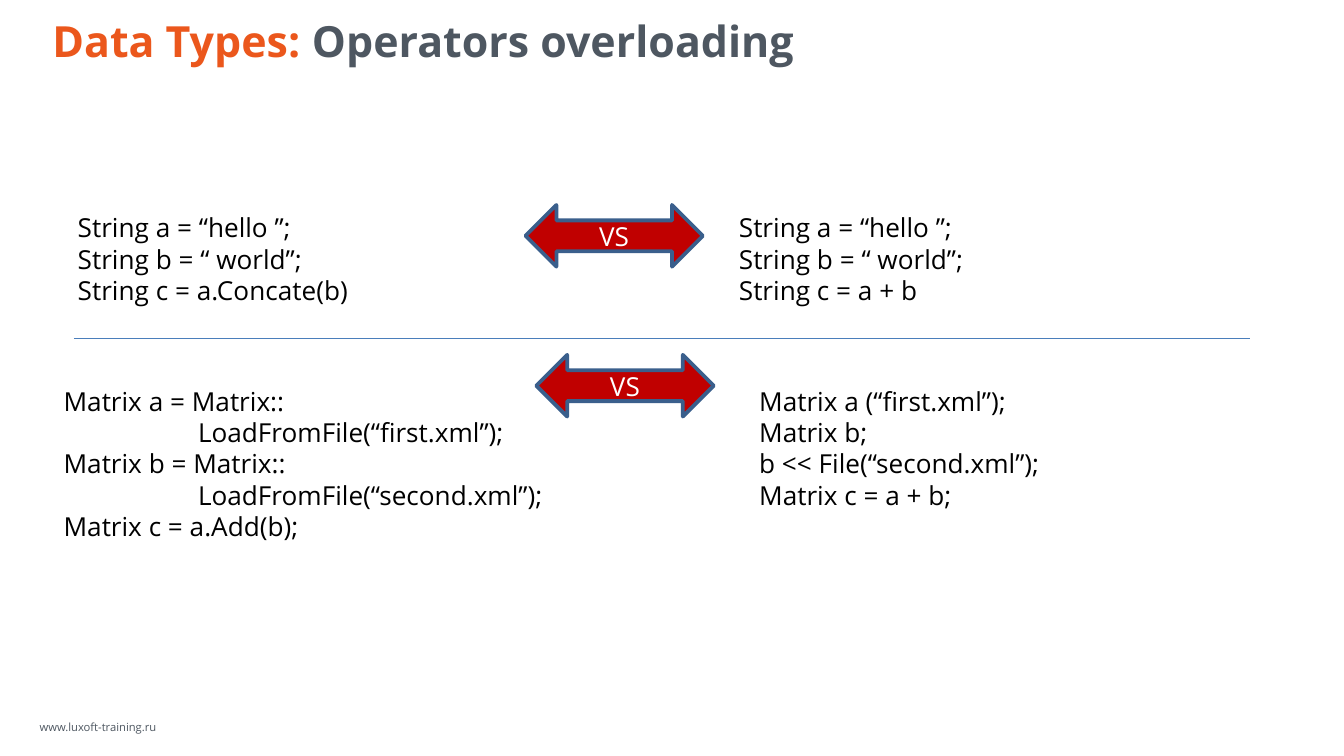
from lxml.etree import SubElement
from pptx import Presentation
from pptx.dml.color import RGBColor
from pptx.enum.shapes import MSO_CONNECTOR, MSO_SHAPE
from pptx.enum.text import MSO_ANCHOR, MSO_AUTO_SIZE, PP_ALIGN
from pptx.oxml.ns import qn
from pptx.util import Pt

PX = 4572
FONT = "Open Sans"
COLORS = {
    "accent": "EB571C",
    "slate": "4E5761",
    "code": "000000",
    "divider": "4A7EBB",
    "arrow": "C00000",
    "arrow_edge": "3A5F8C",
    "arrow_text": "FFFFFF",
}
STRING_SETUP = ["String a = “hello ”;", "String b = “ world”;"]
CODE_BLOCKS = [
    ((96, 305, 442, 158), False, STRING_SETUP + ["String c = a.Concate(b)"]),
    ((75, 563, 652, 252), False, [
        "Matrix a = Matrix::",
        "\tLoadFromFile(“first.xml”);",
        "Matrix b = Matrix::",
        "\tLoadFromFile(“second.xml”);",
        "Matrix c = a.Add(b);",
    ]),
    ((1080, 305, 374, 158), False, STRING_SETUP + ["String c = a + b"]),
    ((1110, 563, 936, 206), True, [
        "Matrix a (“first.xml”);",
        "Matrix b;",
        "b << File(“second.xml”);",
        "Matrix c = a + b;",
    ]),
]
VERSUS_CORNERS = [(782, 305), (798, 528)]


def px(*lengths):
    return [length * PX for length in lengths]


def rgb(name):
    return RGBColor.from_string(COLORS[name])


def apply_format(target, values):
    for name, value in values.items():
        setattr(target, name, value)


def format_frame(frame, side, edge, **values):
    apply_format(frame, {
        "margin_left": side * PX, "margin_right": side * PX,
        "margin_top": edge * PX, "margin_bottom": edge * PX,
        "auto_size": MSO_AUTO_SIZE.NONE, **values,
    })


def add_run(paragraph, text, size, color, bold=False):
    run = paragraph.add_run()
    run.text = text
    apply_format(run.font, {"name": FONT, "size": Pt(size), "bold": bold})
    run.font.color.rgb = rgb(color)


def add_title(slide):
    title = slide.shapes.title
    apply_format(title, dict(zip(("left", "top", "width", "height"), px(62, 19, 1878, 82))))
    format_frame(title.text_frame, 16, 8, word_wrap=True, vertical_anchor=MSO_ANCHOR.MIDDLE)
    heading = title.text_frame.paragraphs[0]
    heading.alignment = PP_ALIGN.LEFT
    add_run(heading, "Data Types: ", 23, "accent", True)
    add_run(heading, "Operators overloading", 23, "slate", True)


def add_website(slide):
    website = slide.shapes.add_textbox(*px(43, 1064, 204, 34))
    format_frame(website.text_frame, 16, 8, word_wrap=False)
    add_run(website.text_frame.paragraphs[0], "www.luxoft-training.ru", 6, "slate")


def add_code(slide, box, wraps, lines):
    frame = slide.shapes.add_textbox(*px(*box)).text_frame
    format_frame(frame, 20, 10, word_wrap=wraps)
    for index, line in enumerate(lines):
        paragraph = frame.add_paragraph() if index else frame.paragraphs[0]
        if line.startswith("\t"):
            tabs = SubElement(paragraph._p.get_or_add_pPr(), qn("a:tabLst"))
            SubElement(tabs, qn("a:tab"), pos=str(200 * PX), algn="l")
        add_run(paragraph, line, 14, "code")


def add_divider(slide):
    divider = slide.shapes.add_connector(MSO_CONNECTOR.STRAIGHT, *px(110, 504, 1860, 504))
    divider.line.color.rgb = rgb("divider")
    divider.line.width = Pt(0.75)
    SubElement(divider._element.spPr, qn("a:effectLst"))


def add_versus(slide, left, top):
    arrow = slide.shapes.add_shape(MSO_SHAPE.LEFT_RIGHT_ARROW, *px(left, top, 264, 92))
    arrow.shadow.inherit = False
    arrow.fill.solid()
    arrow.fill.fore_color.rgb = rgb("arrow")
    arrow.line.color.rgb = rgb("arrow_edge")
    arrow.line.width = Pt(2)
    format_frame(arrow.text_frame, 20, 10, word_wrap=True, vertical_anchor=MSO_ANCHOR.MIDDLE)
    label = arrow.text_frame.paragraphs[0]
    label.alignment = PP_ALIGN.CENTER
    add_run(label, "VS", 14, "arrow_text")


def main():
    deck = Presentation()
    apply_format(deck, dict(zip(("slide_width", "slide_height"), px(2000, 1125))))
    slide = deck.slides.add_slide(deck.slide_layouts[5])
    add_website(slide)
    add_title(slide)
    for box, wraps, lines in CODE_BLOCKS:
        add_code(slide, box, wraps, lines)
    add_divider(slide)
    for corner in VERSUS_CORNERS:
        add_versus(slide, *corner)
    deck.save("out.pptx")


if __name__ == "__main__":
    main()
